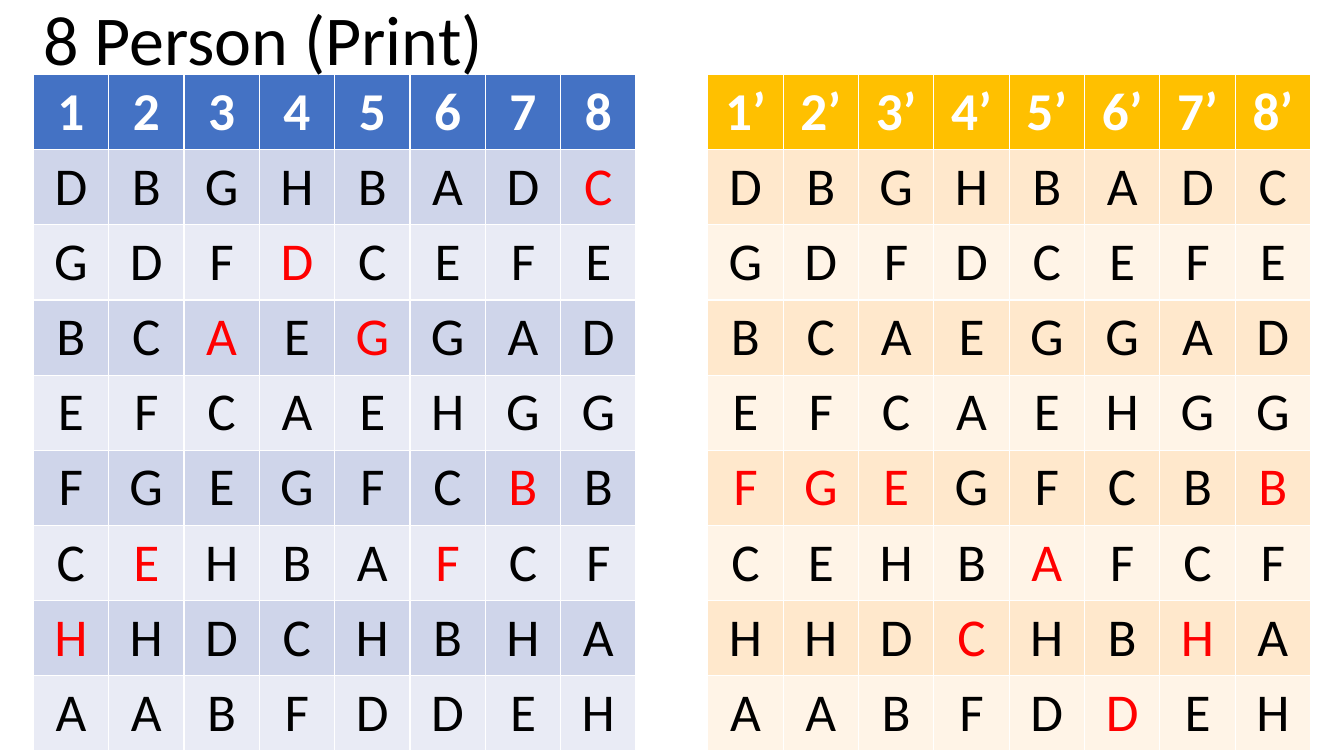
from pptx import Presentation
from pptx.dml.color import RGBColor
from pptx.enum.text import MSO_ANCHOR, PP_ALIGN
from pptx.util import Inches, Pt

COLORS = {
    "blue": "4472C4", "blue_dark": "CFD5EA", "blue_light": "E9EBF5",
    "gold": "FFC000", "gold_dark": "FFE8CC", "gold_light": "FFF4E7",
    "white": "FFFFFF", "black": "000000", "red": "FF0000",
}
FONT = "Calibri"
ROUNDS = ["DBGHBADC", "GDFDCEFE", "BCAEGGAD", "EFCAEHGG",
          "FGEGFCBB", "CEHBAFCF", "HHDCHBHA", "AABFDDEH"]
# Row of the red letter in each column, counted below the header
LEFT_MARKS = [7, 6, 3, 2, 3, 6, 5, 1]
RIGHT_MARKS = [5, 5, 5, 7, 6, 8, 7, 5]


def color(name):
    return RGBColor.from_string(COLORS[name])


def style(para, size, name, bold=False):
    for run in para.runs:
        run.font.name = FONT
        run.font.size = Pt(size)
        run.font.bold = bold
        run.font.color.rgb = color(name)


def add_title(slide, box, text):
    frame = slide.shapes.add_textbox(*map(Inches, box)).text_frame
    frame.word_wrap = True
    frame.vertical_anchor = MSO_ANCHOR.MIDDLE
    frame.text = text
    para = frame.paragraphs[0]
    para.line_spacing = 0.9
    style(para, 50, "black")


def add_rounds(slide, box, hue, tick, marks):
    """Draw the banded letter grid; tick follows each column number."""
    heads = [f"{n}{tick}" for n in range(1, len(marks) + 1)]
    rows = [heads, *ROUNDS]
    table = slide.shapes.add_table(
        len(rows), len(heads), *map(Inches, box)).table
    for r, row in enumerate(rows):
        band = hue if r == 0 else hue + ("_dark" if r % 2 else "_light")
        for c, text in enumerate(row):
            cell = table.cell(r, c)
            cell.fill.solid()
            cell.fill.fore_color.rgb = color(band)
            cell.text = text
            para = cell.text_frame.paragraphs[0]
            para.alignment = PP_ALIGN.CENTER
            ink = "white" if r == 0 else "red" if r == marks[c] else "black"
            style(para, 38, ink, bold=r == 0)


def main():
    deck = Presentation()
    deck.slide_width, deck.slide_height = Inches(13.33), Inches(7.5)
    slide = deck.slides.add_slide(deck.slide_layouts[6])
    left, top, width, height = 0.33, 0.74, 5.98, 6.6
    right = 13.33 - left - width
    add_rounds(slide, (left, top, width, height), "blue", "", LEFT_MARKS)
    add_rounds(slide, (right, top, width, height), "gold", "’", RIGHT_MARKS)
    add_title(slide, (left, -0.3, 4.93, 1.45), "8 Person (Print)")
    deck.save("out.pptx")


if __name__ == "__main__":
    main()
